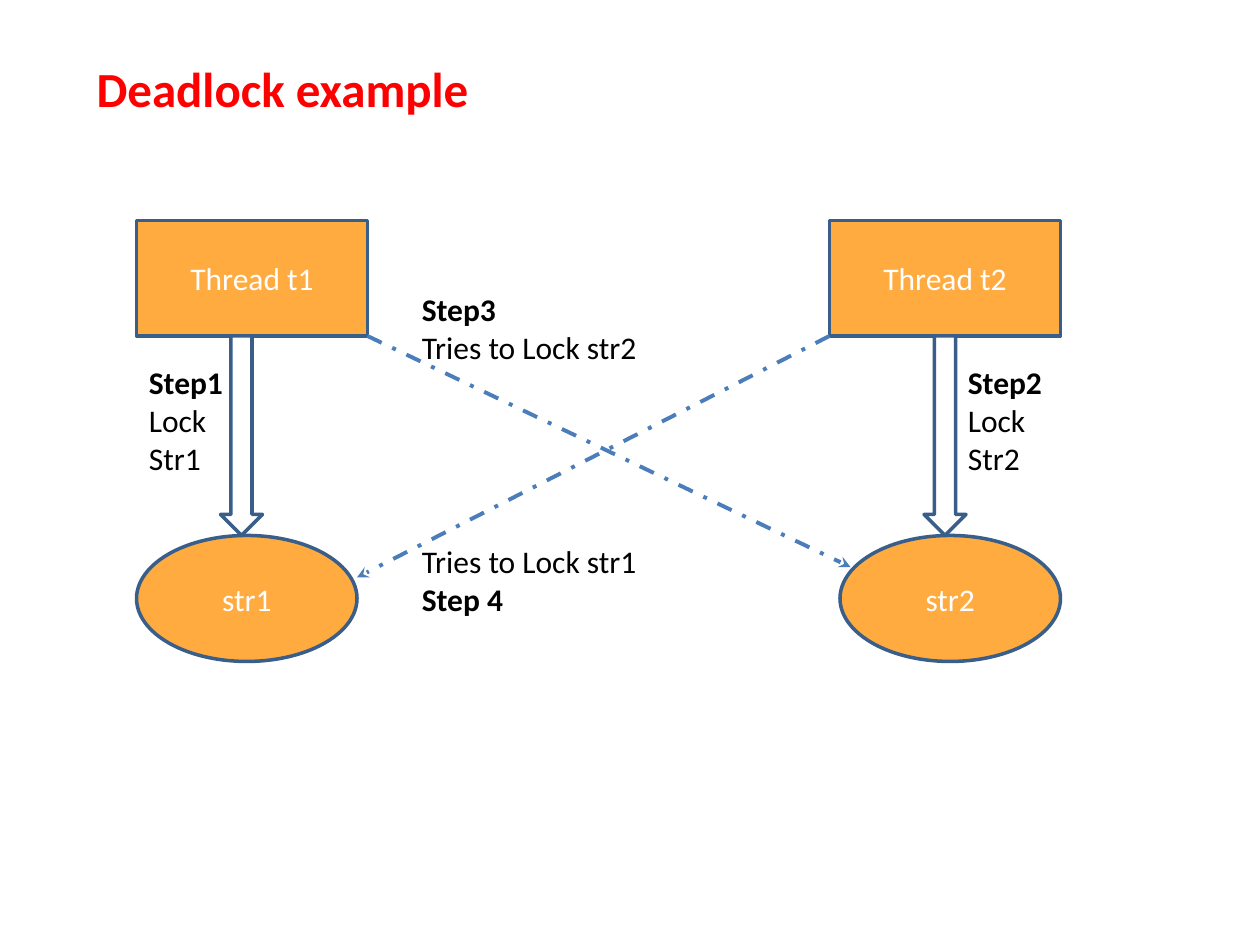
from lxml.etree import SubElement
from pptx import Presentation
from pptx.dml.color import RGBColor
from pptx.enum.dml import MSO_LINE
from pptx.enum.shapes import MSO_CONNECTOR, MSO_SHAPE
from pptx.enum.text import MSO_ANCHOR, MSO_AUTO_SIZE, PP_ALIGN
from pptx.oxml.ns import qn
from pptx.util import Pt

ORANGE, WHITE, BLACK, RED = "FFAB40", "FFFFFF", "000000", "FF0000"
EDGE, DASH = "395E89", "4A7DBA"


def color(code):
    return RGBColor.from_string(code)


def style(par, code, size=18, bold=False):
    for run in par.runs:
        font = run.font
        font.name, font.size, font.bold = "Calibri", Pt(size), bold
        font.color.rgb = color(code)


def add_title(slide, box, text):
    title = slide.shapes.title
    title.left, title.top, title.width, title.height = map(Pt, box)
    frame = title.text_frame
    frame.text = text
    frame.auto_size = MSO_AUTO_SIZE.NONE
    frame.vertical_anchor = MSO_ANCHOR.TOP
    par = frame.paragraphs[0]
    par.alignment = PP_ALIGN.LEFT
    style(par, RED, 28, True)


def add_node(slide, kind, box, fill, text=""):
    node = slide.shapes.add_shape(kind, *map(Pt, box))
    node.shadow.inherit = False
    node.fill.solid()
    node.fill.fore_color.rgb = color(fill)
    node.line.color.rgb = color(EDGE)
    node.line.width = Pt(2)
    if text:
        frame = node.text_frame
        frame.text = text
        frame.vertical_anchor = MSO_ANCHOR.MIDDLE
        frame.paragraphs[0].alignment = PP_ALIGN.CENTER
        style(frame.paragraphs[0], WHITE)


def add_label(slide, box, text):
    frame = slide.shapes.add_textbox(*map(Pt, box)).text_frame
    frame.word_wrap = True
    frame.text = text
    for par in frame.paragraphs:
        style(par, BLACK, bold=par.text.startswith("Step"))


def add_wait(slide, start, end):
    """Dashed arrow from a thread to the lock it waits for."""
    wait = slide.shapes.add_connector(MSO_CONNECTOR.STRAIGHT, *map(Pt, start + end))
    wait.line.color.rgb = color(DASH)
    wait.line.width = Pt(2.25)
    wait.line.dash_style = MSO_LINE.DASH_DOT
    props = wait._element.spPr
    SubElement(props.find(qn("a:ln")), qn("a:tailEnd"), type="stealth")
    SubElement(props, qn("a:effectLst"))


def add_column(slide, box, num, shift, gap):
    """Thread above, its lock below, and the arrow that joins them."""
    left, top, width, height = box
    foot = top + 66
    lock = top + height - 72
    add_node(slide, MSO_SHAPE.RECTANGLE, (left, top, width, 66), ORANGE, f"Thread t{num}")
    add_node(slide, MSO_SHAPE.OVAL, (left + shift, lock, width - 6, 72), ORANGE, f"str{num}")
    add_node(slide, MSO_SHAPE.DOWN_ARROW, (left + shift + 48, foot, 24, lock - foot), WHITE)
    add_label(slide, (left + gap, foot + 12, 72, 73), f"Step{num}\nLock\nStr{num}")


def add_cross(slide, box):
    """Crossing waits between the columns, with their labels."""
    left, top, width, height = box
    right = left + width
    add_wait(slide, (left, top), (right + 12, top + height - 6))
    add_wait(slide, (right, top), (left - 6, top + height))
    add_label(slide, (left + 24, top - 30, 144, 51), "Step3\nTries to Lock str2")
    add_label(slide, (left + 24, top + 114, 144, 51), "Tries to Lock str1\nStep 4")


def main():
    deck = Presentation()
    deck.slide_width, deck.slide_height = Pt(720), Pt(540)
    slide = deck.slides.add_slide(deck.slide_layouts[5])
    add_title(slide, (48, 30, 330, 41), "Deadlock example")
    # Left and right threads
    add_column(slide, (78, 126, 132, 252), 1, 0, 0)
    add_column(slide, (474, 126, 132, 252), 2, 6, 72)
    # Space between them
    add_cross(slide, (210, 192, 264, 138))
    deck.save("out.pptx")


if __name__ == "__main__":
    main()
